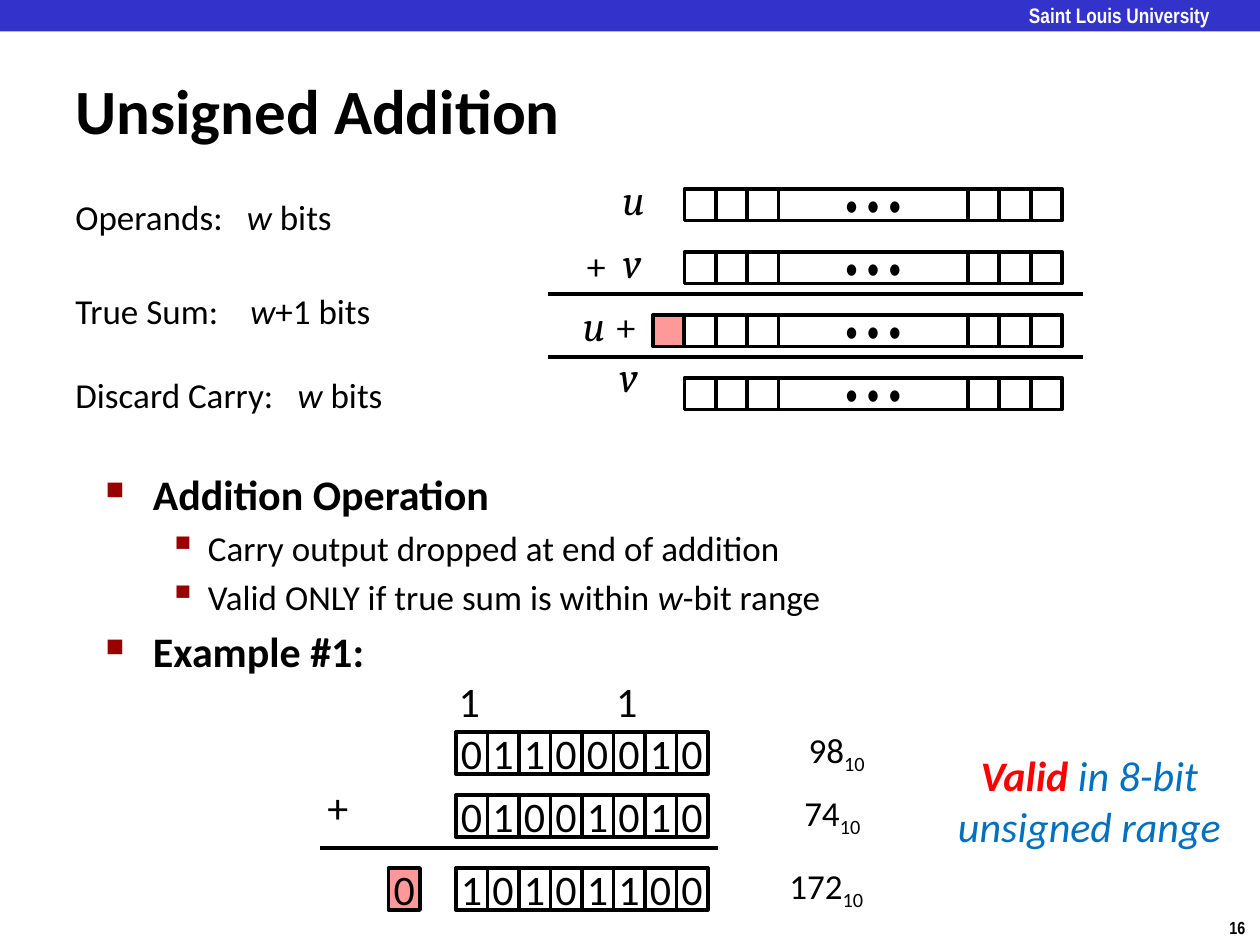
from dataclasses import dataclass
from typing import Any

from lxml.etree import SubElement
from pptx import Presentation
from pptx.dml.color import RGBColor
from pptx.enum.shapes import MSO_CONNECTOR, MSO_SHAPE
from pptx.enum.text import MSO_ANCHOR, PP_ALIGN
from pptx.oxml.ns import qn
from pptx.util import Pt

COLORS = {
    "black": "000000",
    "white": "FFFFFF",
    "banner": "3333CC",
    "carry": "FF9999",
    "bullet": "990000",
    "valid": "FF0000",
    "remark": "0070C0",
}
CELL = 18
BIT_HEIGHT = 24


def rgb(name):
    """Return the named colour."""
    return RGBColor.from_string(COLORS[name])


@dataclass
class SlideBuilder:
    """Holds the style and the current slide."""

    page: Any
    font: str = "Calibri"
    line_width: float = 2

    def fill_paragraph(self, para, runs, size, font=None, color="black", bold=False, italic=None):
        """Write (text, overrides) runs into a paragraph."""
        para.font.name = font or self.font
        para.font.size = Pt(size)
        para.font.color.rgb = rgb(color)
        para.font.bold = bold
        para.font.italic = italic
        for text, style in [(runs, {})] if isinstance(runs, str) else runs:
            span = para.add_run()
            span.text = text
            if "italic" in style:
                span.font.italic = style["italic"]
            if "bold" in style:
                span.font.bold = style["bold"]
            if "color" in style:
                span.font.color.rgb = rgb(style["color"])
            if style.get("subscript"):
                span.font._element.set("baseline", "-25000")

    def text(self, left, top, width, height, *lines, size=24, align=PP_ALIGN.LEFT,
             wrap=False, inset=True, anchor=MSO_ANCHOR.TOP, tab=None, **style):
        """Add a text box with one paragraph per line."""
        box = self.page.shapes.add_textbox(Pt(left), Pt(top), Pt(width), Pt(height))
        frame = box.text_frame
        frame.word_wrap = wrap
        frame.vertical_anchor = anchor
        if not inset:
            frame.margin_left = frame.margin_right = frame.margin_top = frame.margin_bottom = 0
        for index, runs in enumerate(lines):
            para = frame.add_paragraph() if index else frame.paragraphs[0]
            para.alignment = align
            if tab:
                stops = SubElement(para._p.get_or_add_pPr(), qn("a:tabLst"))
                SubElement(stops, qn("a:tab"), pos=str(Pt(tab)), algn="l")
            self.fill_paragraph(para, runs, size, **style)

    def bullets(self, left, top, width, height, items):
        """Add a two-level bulleted list."""
        box = self.page.shapes.add_textbox(Pt(left), Pt(top), Pt(width), Pt(height))
        frame = box.text_frame
        frame.word_wrap = True
        levels = [(27, -27, "■", 60, 24, True), (58.5, -22.5, "▪", 110, 20, False)]
        for index, (level, runs) in enumerate(items):
            margin, indent, symbol, percent, size, bold = levels[level]
            para = frame.add_paragraph() if index else frame.paragraphs[0]
            para.level = level
            props = para._p.get_or_add_pPr()
            props.set("marL", str(Pt(margin)))
            props.set("indent", str(Pt(indent)))
            tint = SubElement(props, qn("a:buClr"))
            SubElement(tint, qn("a:srgbClr"), val=COLORS["bullet"])
            SubElement(props, qn("a:buSzPct"), val=str(percent * 1000))
            SubElement(props, qn("a:buChar"), char=symbol)
            if index:
                para.space_before = Pt(size * 0.2)
            self.fill_paragraph(para, runs, size, bold=bold)

    def rect(self, left, top, width, height, text="", fill="white", outlined=True, font=None):
        """Add a rectangle with optional centred text."""
        box = self.page.shapes.add_shape(
            MSO_SHAPE.RECTANGLE, Pt(left), Pt(top), Pt(width), Pt(height))
        box.shadow.inherit = False
        box.fill.solid()
        box.fill.fore_color.rgb = rgb(fill)
        if outlined:
            box.line.color.rgb = rgb("black")
            box.line.width = Pt(self.line_width)
        else:
            box.line.fill.background()
        if text:
            frame = box.text_frame
            frame.word_wrap = False
            frame.vertical_anchor = MSO_ANCHOR.MIDDLE
            frame.paragraphs[0].alignment = PP_ALIGN.CENTER
            self.fill_paragraph(frame.paragraphs[0], text, 24, font)

    def rule(self, left, right, top):
        """Add a horizontal line."""
        line = self.page.shapes.add_connector(
            MSO_CONNECTOR.STRAIGHT, Pt(left), Pt(top), Pt(right), Pt(top))
        line.line.color.rgb = rgb("black")
        line.line.width = Pt(self.line_width)
        SubElement(line._element.spPr, qn("a:effectLst"))

    def word(self, left, top):
        """Add a w-bit word with an elided middle."""
        for column in (0, 1, 2, 9, 10, 11):
            self.rect(left + column * CELL, top, CELL, CELL)
        self.rect(left + 3 * CELL, top, 6 * CELL, CELL, "• • •", font="Arial Narrow")

    def bits(self, left, top, digits):
        """Add a row of boxed binary digits."""
        for column, digit in enumerate(digits):
            self.rect(left + column * CELL, top, CELL, BIT_HEIGHT, digit)


def main():
    """Build the slide and save it."""
    deck = Presentation()
    deck.slide_width, deck.slide_height = Pt(720), Pt(540)
    slide = SlideBuilder(deck.slides.add_slide(deck.slide_layouts[6]))
    italic, upright = {"italic": True}, {"italic": False}

    slide.text(695.5, 520.5, 24.5, 19.5, "16", size=10, font="Arial Narrow", bold=True)
    slide.rect(0, 0, 720.5, 18, fill="banner", outlined=False)
    slide.text(588, 1.5, 120, 14, "Saint Louis University", size=12, font="Arial Narrow",
               color="white", bold=True, wrap=True, inset=False)
    slide.text(36, 40.3, 502.5, 44, "Unsigned Addition", size=36, bold=True,
               wrap=True, anchor=MSO_ANCHOR.MIDDLE)
    slide.bullets(53.3, 264.3, 636.5, 126, [
        (0, "Addition Operation"),
        (1, "Carry output dropped at end of addition"),
        (1, [("Valid ONLY if true sum is within ", {}), ("w", italic), ("-bit range", upright)]),
        (0, "Example #1:"),
    ])

    word_left = 391
    for row in range(4):
        slide.word(word_left, 108 + 36 * row)
    slide.rect(word_left - CELL, 180, CELL, CELL, fill="carry")
    for top in (168, 204):
        slide.rule(313, 619, top)
    slide.text(348.5, 95.8, 24, 29, "u", font="Cambria", italic=True)
    slide.text(349, 131.8, 22.5, 29, "v", font="Cambria", italic=True)
    slide.text(327, 132.5, 28, 36, "+", font="Cambria")
    slide.text(321, 167.8, 50.5, 29, [("u ", italic), ("+ ", upright), ("v", italic)],
               font="Cambria", align=PP_ALIGN.RIGHT, wrap=True)

    for top, tab, label, tail in (
        (108, 98, "Operands:", " bits"),
        (162, 100, "True Sum:", "+1 bits"),
        (210, 127, "Discard Carry:", " bits"),
    ):
        slide.text(36, top, 192, 31.5, [(label + "\t", {}), ("w", italic), (tail, upright)],
                   size=20, wrap=True, tab=tab)

    for top, digits, value, left, width in (
        (418.3, "01100010", "98", 455, 49),
        (454.3, "01001010", "74", 452.5, 49),
        (496, "10101100", "172", 444, 59),
    ):
        slide.bits(260.5, top, digits)
        slide.text(left, top - 5.8, width, 31.5, [(value, {}), ("10", {"subscript": True})],
                   size=20)
    slide.rect(222, 496, CELL, BIT_HEIGHT, "0", fill="carry")
    for left in (255, 345):
        slide.text(left, 382.5, 26.5, 36, "1")
    slide.text(180, 443, 26.5, 36, "+")
    slide.rule(183, 410.5, 484.5)
    slide.text(540, 425, 165, 65.5,
               [("Valid ", {"bold": True, "color": "valid"}), ("in 8-bit", {})],
               "unsigned range", color="remark", italic=True, align=PP_ALIGN.CENTER)
    deck.save("out.pptx")


if __name__ == "__main__":
    main()
